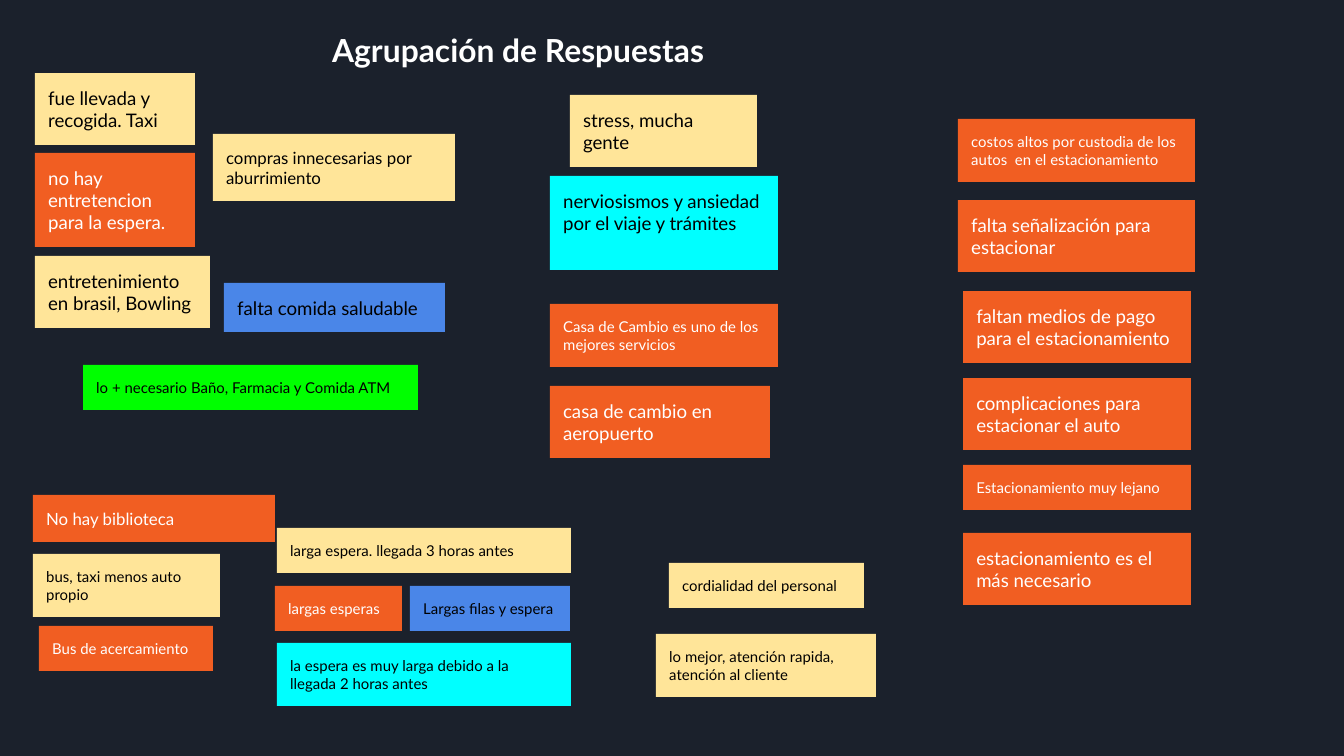
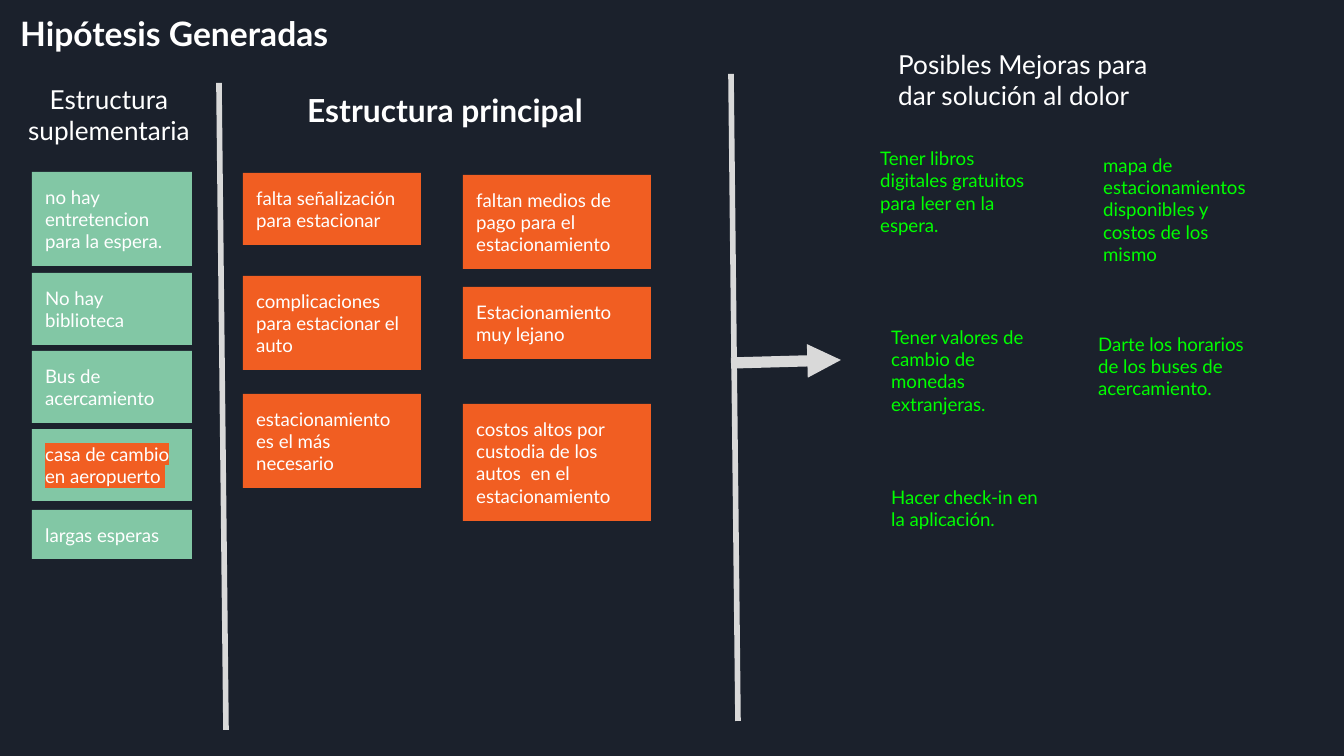
from dataclasses import dataclass

from lxml import etree
from pptx import Presentation
from pptx.dml.color import RGBColor
from pptx.enum.shapes import MSO_CONNECTOR, MSO_SHAPE
from pptx.enum.text import MSO_ANCHOR, PP_ALIGN
from pptx.oxml.ns import qn
from pptx.util import Emu, Inches, Pt

RECTANGLE = MSO_SHAPE.RECTANGLE
STRAIGHT = MSO_CONNECTOR.STRAIGHT
TOP = MSO_ANCHOR.TOP
LEFT = PP_ALIGN.LEFT
CENTER = PP_ALIGN.CENTER
PIXELS_PER_INCH = 134.4
INSET = Inches(0.1)


@dataclass(frozen=True)
class Theme:
    """Colours, font and type sizes shared by the slides."""
    font: str = "Lato"
    background: str = "1B212C"
    white: str = "FFFFFF"
    black: str = "000000"
    cream: str = "FFE599"
    orange: str = "F15E22"
    cyan: str = "00FFFF"
    blue: str = "4A86E8"
    lime: str = "00FF00"
    mint: str = "82C7A5"
    divider: str = "D9D9D9"
    title: int = 18
    subtitle: int = 17
    heading: int = 14
    large: int = 10
    medium: int = 9
    small: int = 8


THEME = Theme()


def pixels(length):
    """Turn pixels into EMU."""
    return Emu(round(length * 914400 / PIXELS_PER_INCH))


def colour(value):
    """Turn a hex string into a colour."""
    return RGBColor.from_string(value)


def note_height(lines, size):
    """Give the height of a box that holds some lines of text."""
    return round(27 + 2.24 * lines * size)


def write(shape, text, size, ink, bold=False, align=LEFT, highlight=None):
    """Write one run into a shape with the shared margins and font."""
    frame = shape.text_frame
    frame.word_wrap = True
    frame.vertical_anchor = TOP
    frame.margin_left = frame.margin_right = INSET
    frame.margin_top = frame.margin_bottom = INSET
    paragraph = frame.paragraphs[0]
    paragraph.alignment = align
    run = paragraph.add_run()
    run.text = text
    run.font.size = Pt(size)
    run.font.bold = bold
    run.font.color.rgb = colour(ink)
    if highlight:
        marker = etree.Element(qn("a:highlight"))
        etree.SubElement(marker, qn("a:srgbClr"), val=highlight)
        run.font.fill._xPr.find(qn("a:solidFill")).addnext(marker)
    run.font.name = THEME.font


def add_label(slide, box, text, size, ink=THEME.white, bold=False, align=LEFT):
    """Add a text box."""
    label = slide.shapes.add_textbox(*map(pixels, box))
    write(label, text, size, ink, bold, align)


def add_note(slide, box, text, fill, size=THEME.large, highlight=None):
    """Add a filled sticky note."""
    note = slide.shapes.add_shape(RECTANGLE, *map(pixels, box))
    note.shadow.inherit = False
    note.fill.solid()
    note.fill.fore_color.rgb = colour(fill)
    note.line.fill.background()
    ink = THEME.white if fill in (THEME.orange, THEME.mint) else THEME.black
    write(note, text, size, ink, highlight=highlight)


def add_line(slide, start, end, width, arrow=False):
    """Add a straight line, with an arrowhead if asked."""
    line = slide.shapes.add_connector(STRAIGHT, *map(pixels, start + end))
    line.line.color.rgb = colour(THEME.divider)
    line.line.width = Pt(width)
    if arrow:
        etree.SubElement(line.line._get_or_add_ln(), qn("a:tailEnd"), type="triangle")
    etree.SubElement(line._element.spPr, qn("a:effectLst"))


def new_slide(presentation):
    """Add a blank slide with the dark background."""
    slide = presentation.slides.add_slide(presentation.slide_layouts[6])
    slide.background.fill.solid()
    slide.background.fill.fore_color.rgb = colour(THEME.background)
    return slide


def add_cluster(slide, origin, notes):
    """Place notes of offset, width, lines, fill, size and text from an origin."""
    left, top = origin
    for across, down, width, lines, fill, size, text in notes:
        box = (left + across, top + down, width, note_height(lines, size))
        add_note(slide, box, text, fill, size)


def add_supplementary(slide, origin):
    """Add the column of the supplementary structure."""
    left, top = origin
    column = [
        (0, 3, "no hay entretencion para la espera.", None),
        (101, 2, "No hay biblioteca", None),
        (179, 2, "Bus de acercamiento", None),
        (257, 2, "casa de cambio en aeropuerto ", THEME.orange),
        (338, 1, "largas esperas", None),
    ]
    add_label(slide, (left - 32, top - 102, 218, 90), "Estructura suplementaria",
              THEME.heading, align=CENTER)
    for down, lines, text, highlight in column:
        box = (left, top + down, 160, note_height(lines, THEME.large))
        add_note(slide, box, text, THEME.mint, highlight=highlight)


def add_main(slide, origin):
    """Add the two columns of the main structure."""
    left, top = origin
    columns = [
        (0, 178, [
            (0, 2, "falta señalización para estacionar"),
            (103, 3, "complicaciones para estacionar el auto"),
            (221, 3, "estacionamiento es el más necesario"),
        ]),
        (220, 188, [
            (2, 3, "faltan medios de pago para el estacionamiento"),
            (114, 2, "Estacionamiento muy lejano"),
            (231, 4, "costos altos por custodia de los autos  en el estacionamiento"),
        ]),
    ]
    add_label(slide, (left + 8, top - 96, 388, 66), "Estructura principal",
              THEME.subtitle, bold=True, align=CENTER)
    for across, width, notes in columns:
        add_cluster(slide, (left + across, top), [
            (0, down, width, lines, THEME.orange, THEME.large, text)
            for down, lines, text in notes])


def add_improvements(slide, origin):
    """Add the possible improvements."""
    left, top = origin
    ideas = [
        (0, 0, 177, 4, "Tener libros digitales gratuitos para leer en la espera."),
        (223, 7, 177, 5, "mapa de estacionamientos disponibles y costos de los mismo"),
        (11, 179, 177, 4, "Tener valores de cambio de monedas extranjeras."),
        (218, 186, 188, 3, "Darte los horarios de los buses de acercamiento."),
        (11, 339, 177, 2, "Hacer check-in en la aplicación."),
    ]
    add_label(slide, (left + 18, top - 98, 292, 90),
              "Posibles Mejoras para dar solución al dolor", THEME.heading)
    for across, down, width, lines, text in ideas:
        box = (left + across, top + down, width, note_height(lines, THEME.large))
        add_label(slide, box, text, THEME.large, THEME.lime)


def build_answers(presentation):
    """Build the slide of grouped answers."""
    slide = new_slide(presentation)
    cream, orange, cyan, blue, lime = (
        THEME.cream, THEME.orange, THEME.cyan, THEME.blue, THEME.lime)
    large, medium, small = THEME.large, THEME.medium, THEME.small
    add_label(slide, (319, 17, 685, 66), "Agrupación de Respuestas",
              THEME.subtitle, bold=True)
    leisure = [
        (0, 0, 160, 2, cream, large, "fue llevada y recogida. Taxi"),
        (0, 80, 160, 3, orange, large, "no hay entretencion para la espera."),
        (0, 183, 175, 2, cream, large, "entretenimiento en brasil, Bowling"),
        (178, 61, 242, 2, cream, medium, "compras innecesarias por aburrimiento"),
        (189, 210, 221, 1, blue, large, "falta comida saludable"),
        (48, 292, 335, 1, lime, small, "lo + necesario Baño, Farmacia y Comida ATM"),
    ]
    travel = [
        (20, 0, 187, 2, cream, large, "stress, mucha gente"),
        (0, 81, 228, 3, cyan, large, "nerviosismos y ansiedad por el viaje y trámites"),
        (0, 209, 228, 2, orange, small, "Casa de Cambio es uno de los mejores servicios"),
        (0, 291, 220, 2, orange, large, "casa de cambio en aeropuerto"),
    ]
    parking = [
        (0, 0, 237, 2, orange, small,
         "costos altos por custodia de los autos  en el estacionamiento"),
        (0, 81, 237, 2, orange, large, "falta señalización para estacionar"),
        (5, 172, 228, 2, orange, large, "faltan medios de pago para el estacionamiento"),
        (5, 259, 228, 2, orange, large, "complicaciones para estacionar el auto"),
        (5, 346, 228, 1, orange, small, "Estacionamiento muy lejano"),
        (5, 414, 228, 2, orange, large, "estacionamiento es el más necesario"),
    ]
    transport = [
        (0, 0, 242, 1, orange, medium, "No hay biblioteca"),
        (0, 59, 187, 2, cream, small, "bus, taxi menos auto propio"),
        (6, 131, 174, 1, orange, small, "Bus de acercamiento"),
    ]
    waiting = [
        (2, 0, 294, 1, cream, small, "larga espera. llegada 3 horas antes"),
        (0, 58, 127, 1, orange, small, "largas esperas"),
        (135, 58, 160, 1, blue, small, "Largas filas y espera"),
        (2, 115, 294, 2, cyan, small,
         "la espera es muy larga debido a la llegada 2 horas antes"),
    ]
    staff = [
        (13, 0, 195, 1, cream, small, "cordialidad del personal"),
        (0, 71, 220, 2, cream, small, "lo mejor, atención rapida, atención al cliente"),
    ]
    add_cluster(slide, (35, 73), leisure)
    add_cluster(slide, (550, 95), travel)
    add_cluster(slide, (958, 119), parking)
    add_cluster(slide, (33, 495), transport)
    add_cluster(slide, (275, 528), waiting)
    add_cluster(slide, (656, 563), staff)


def build_hypotheses(presentation):
    """Build the slide of hypotheses and improvements."""
    slide = new_slide(presentation)
    add_label(slide, (7, 0, 388, 67), "Hipótesis Generadas", THEME.title, bold=True)
    add_supplementary(slide, (32, 172))
    add_main(slide, (243, 173))
    add_improvements(slide, (867, 133))
    for left, top in ((219, 83), (731, 74)):
        add_line(slide, (left, top), (left + 7, top + 647), 3)
    add_line(slide, (731, 363), (841, 360), 6, arrow=True)


def main():
    """Build and save the presentation."""
    presentation = Presentation()
    presentation.slide_width = pixels(1344)
    presentation.slide_height = pixels(756)
    build_answers(presentation)
    build_hypotheses(presentation)
    presentation.save("out.pptx")


main()
